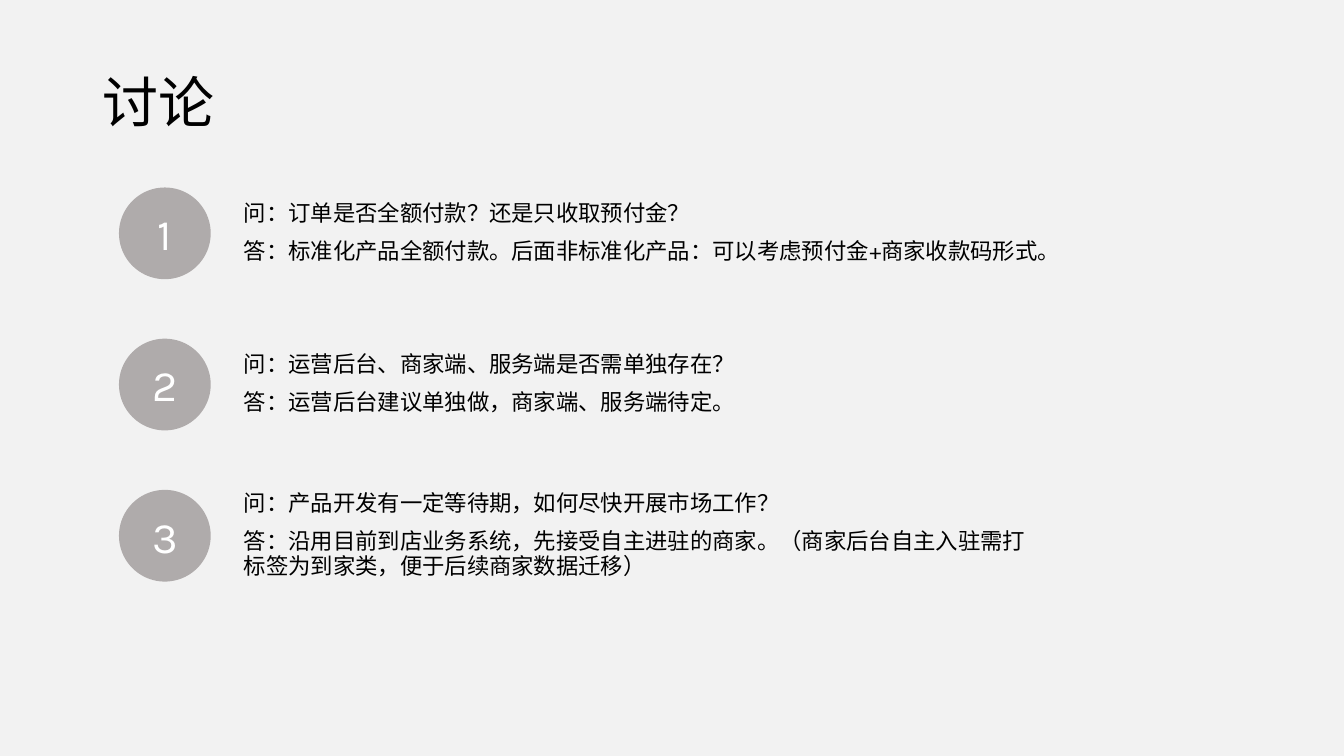
import pptx
import pptx.util
from pptx.dml.color import RGBColor
from pptx.enum.shapes import MSO_SHAPE
from pptx.enum.text import MSO_ANCHOR, MSO_AUTO_SIZE, PP_ALIGN
from pptx.util import Inches

FONT = "Karla"
COLORS = {"background": "F2F2F2", "badge": "AFABAB", "text": "000000", "number": "FFFFFF"}

# Each discussion item: question, answer, text width in inches
DISCUSSION = [
    ("问：订单是否全额付款？还是只收取预付金？",
     "答：标准化产品全额付款。后面非标准化产品：可以考虑预付金+商家收款码形式。", 8.43),
    ("问：运营后台、商家端、服务端是否需单独存在？",
     "答：运营后台建议单独做，商家端、服务端待定。", 8.06),
    ("问：产品开发有一定等待期，如何尽快开展市场工作？",
     "答：沿用目前到店业务系统，先接受自主进驻的商家。（商家后台自主入驻需打标签为到家类，便于后续商家数据迁移）", 8.06),
]
FIRST_TOP, ROW_STEP = 1.86, 1.5
BADGE_SIZE, TEXT_HEIGHT = 0.91, 1.07


def color(name):
    return RGBColor.from_string(COLORS[name])


def format_text(tf, size, color_name, align=PP_ALIGN.LEFT, line_spacing=None, space_before=0):
    tf.word_wrap = True
    tf.auto_size = MSO_AUTO_SIZE.NONE
    tf.vertical_anchor = MSO_ANCHOR.MIDDLE
    for p in tf.paragraphs:
        p.alignment = align
        p.line_spacing = line_spacing
        p.space_before = pptx.util.Pt(space_before)
        for r in p.runs:
            r.font.name = FONT
            r.font.size = pptx.util.Pt(size)
            r.font.color.rgb = color(color_name)


def add_title(s, text):
    title = s.shapes.title
    title.left, title.top = Inches(0.92), Inches(0.51)
    title.width, title.height = Inches(11.5), Inches(1.07)
    title.text_frame.text = text
    format_text(title.text_frame, 40, "text", line_spacing=0.9)


def add_badge(s, number, top):
    badge = s.shapes.add_shape(MSO_SHAPE.OVAL, Inches(1.18), Inches(top),
                               Inches(BADGE_SIZE), Inches(BADGE_SIZE))
    badge.shadow.inherit = False
    badge.fill.solid()
    badge.fill.fore_color.rgb = color("badge")
    badge.line.fill.background()
    tf = badge.text_frame
    tf.margin_left = tf.margin_right = tf.margin_top = tf.margin_bottom = 0
    tf.text = str(number)
    format_text(tf, 31, "number", PP_ALIGN.CENTER)


def add_question_answer(s, question, answer, top, width):
    box = s.shapes.add_textbox(Inches(2.32), Inches(top), Inches(width), Inches(TEXT_HEIGHT))
    tf = box.text_frame
    tf.text = question
    tf.add_paragraph().text = answer
    format_text(tf, 16, "text", line_spacing=0.9, space_before=10)


def main():
    prs = pptx.Presentation()
    prs.slide_width, prs.slide_height = Inches(13.33), Inches(7.5)
    s = prs.slides.add_slide(prs.slide_layouts[5])
    s.background.fill.solid()
    s.background.fill.fore_color.rgb = color("background")

    add_title(s, "讨论")
    for i, (question, answer, width) in enumerate(DISCUSSION):
        top = FIRST_TOP + i * ROW_STEP
        add_badge(s, i + 1, top)
        text_top = top - (TEXT_HEIGHT - BADGE_SIZE) / 2
        add_question_answer(s, question, answer, text_top, width)

    prs.save("out.pptx")


if __name__ == "__main__":
    main()
